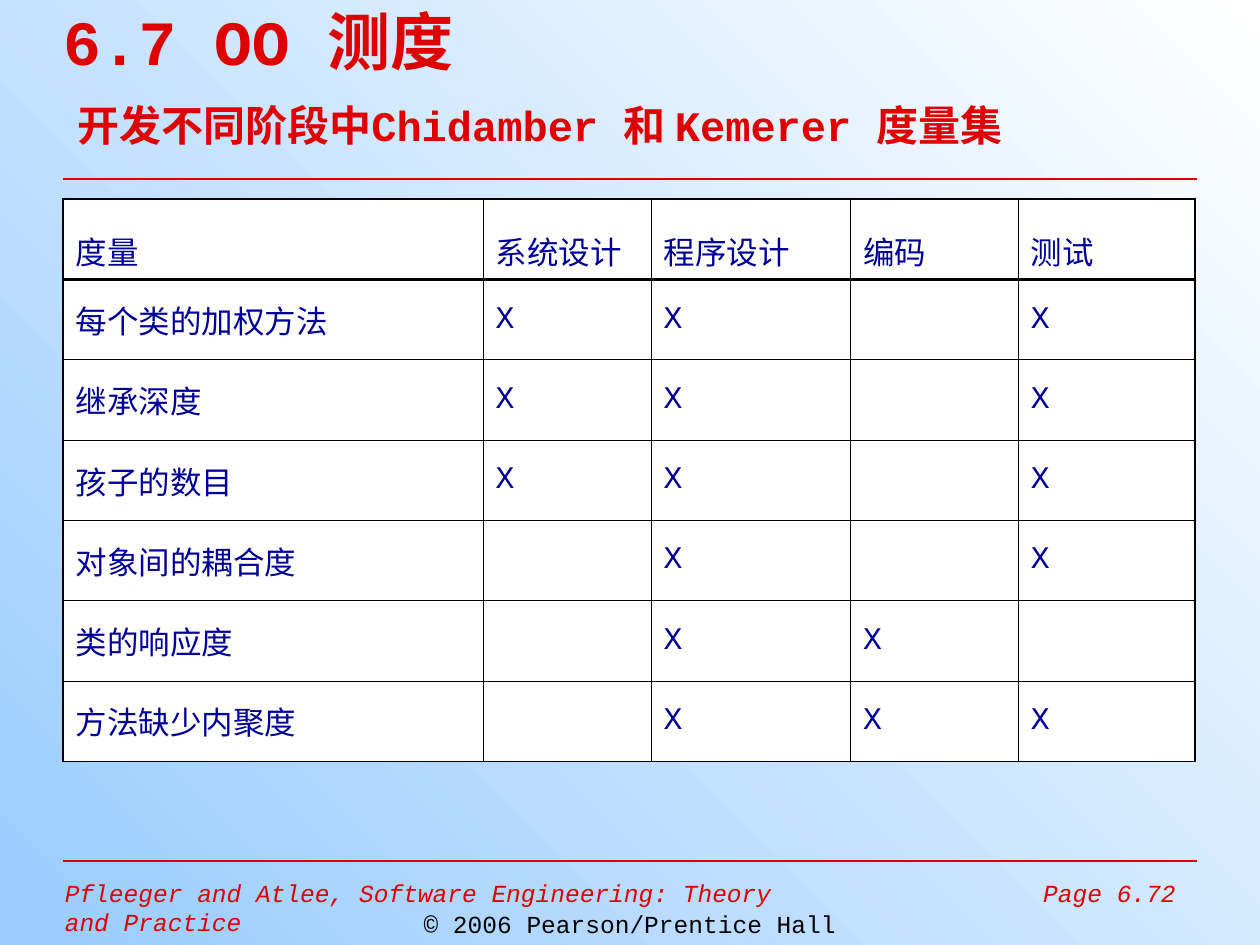
from dataclasses import dataclass

from lxml.etree import SubElement
from pptx import Presentation
from pptx.dml.color import RGBColor as RGB
from pptx.enum.shapes import MSO_CONNECTOR as LINK
from pptx.enum.text import MSO_ANCHOR as ANCHOR, MSO_AUTO_SIZE as FIT, PP_ALIGN as ALIGN
from pptx.oxml.ns import qn
from pptx.util import Pt


@dataclass(frozen=True)
class Theme:
    red: RGB = RGB(0xDE, 0x00, 0x00)
    navy: RGB = RGB(0x00, 0x00, 0x99)
    black: RGB = RGB(0x00, 0x00, 0x00)
    white: RGB = RGB(0xFF, 0xFF, 0xFF)
    sky: RGB = RGB(0x99, 0xCC, 0xFF)
    face: str = "Courier New"
    head: int = 36
    sub: int = 24
    cell: int = 18
    foot: int = 14


THEME = Theme()
LEFT, RIGHT = 36, 683.5
THIN, EDGE, HEAVY = 0.45, 1.08, 1.47
COLS = (240, 96, 114, 96, 101)
ROW = 45.9
HEADS = ("度量", "系统设计", "程序设计", "编码", "测试")
MARKS = {
    "每个类的加权方法": "XX-X",
    "继承深度": "XX-X",
    "孩子的数目": "XX-X",
    "对象间的耦合度": "-X-X",
    "类的响应度": "-XX-",
    "方法缺少内聚度": "-XXX",
}


def style(font, size, color, **more):
    form = {"name": THEME.face, "size": Pt(size), **more}
    for key, value in form.items():
        setattr(font, key, value)
    font.color.rgb = color


def add_run(para, text, size, color, **more):
    run = para.add_run()
    run.text = text
    style(run.font, size, color, **more)


def paint_back(slide):
    fill = slide.background.fill
    fill.gradient()
    fill.gradient_angle = 45
    for stop, color in zip(fill.gradient_stops, (THEME.sky, THEME.white)):
        stop.color.rgb = color


def set_title(slide):
    title = slide.shapes.title
    place = {"left": LEFT, "top": 0, "width": RIGHT - LEFT, "height": 89.3}
    for key, value in place.items():
        setattr(title, key, Pt(value))
    frame = title.text_frame
    form = {"auto_size": FIT.NONE, "word_wrap": True,
            "vertical_anchor": ANCHOR.MIDDLE, "margin_left": 0,
            "margin_top": 0, "margin_right": 0, "margin_bottom": 0}
    for key, value in form.items():
        setattr(frame, key, value)
    para = frame.paragraphs[0]
    para.alignment = ALIGN.LEFT
    add_run(para, "6.7 OO 测度", THEME.head, THEME.red, bold=True)
    para.add_line_break()
    add_run(para, " ", THEME.head, THEME.red, bold=True)
    add_run(para, "开发不同阶段中Chidamber 和 Kemerer 度量集",
            THEME.sub, THEME.red, bold=True)


def add_rule(slide, top, width):
    line = slide.shapes.add_connector(
        LINK.STRAIGHT, Pt(LEFT), Pt(top), Pt(RIGHT + 0.5), Pt(top))
    line.line.color.rgb = THEME.red
    line.line.width = Pt(width)
    SubElement(line._element.spPr, qn("a:effectLst"))


def add_note(slide, text, box, align, color, **more):
    frame = slide.shapes.add_textbox(*map(Pt, box)).text_frame
    frame.word_wrap = True
    para = frame.paragraphs[0]
    para.alignment = align
    add_run(para, text, THEME.foot, color, **more)


def set_sides(cell, widths):
    """Draw the cell's borders from a dict of side letter to width."""
    props = cell._tc.get_or_add_tcPr()
    for side in "LRTB":
        line = SubElement(props, qn(f"a:ln{side}"), w=str(Pt(widths[side])))
        fill = SubElement(line, qn("a:solidFill"))
        SubElement(fill, qn("a:srgbClr"), val=str(THEME.black))


def add_grid(slide):
    rows = [HEADS] + [(name, *marks.replace("-", " "))
                      for name, marks in MARKS.items()]
    last, end = len(rows) - 1, len(COLS) - 1
    table = slide.shapes.add_table(
        len(rows), len(COLS), Pt(LEFT), Pt(113.8),
        Pt(sum(COLS)), Pt(ROW * len(rows))).table
    table.first_row = table.horz_banding = False
    for col, width in zip(table.columns, COLS):
        col.width = Pt(width)
    for r, row in enumerate(rows):
        table.rows[r].height = Pt(ROW)
        for c, text in enumerate(row):
            cell = table.cell(r, c)
            set_sides(cell, {
                "L": EDGE if c == 0 else THIN,
                "R": EDGE if c == end else THIN,
                "T": HEAVY if r < 2 else THIN,
                "B": HEAVY if r == 0 else EDGE if r == last else THIN,
            })
            cell.fill.solid()
            cell.fill.fore_color.rgb = THEME.white
            cell.vertical_anchor = ANCHOR.MIDDLE if r else ANCHOR.BOTTOM
            if text.strip():
                add_run(cell.text_frame.paragraphs[0], text,
                        THEME.cell, THEME.navy)


def main():
    deck = Presentation()
    deck.slide_width, deck.slide_height = Pt(720), Pt(540)
    slide = deck.slides.add_slide(deck.slide_layouts[5])
    paint_back(slide)
    set_title(slide)
    add_rule(slide, 102.2, 1.5)
    add_grid(slide)
    add_rule(slide, 492, 0.75)
    add_note(slide, "Pfleeger and Atlee, Software Engineering: Theory and Practice",
             (30, 498, 432, 24.5), ALIGN.LEFT, THEME.red, italic=True)
    add_note(slide, "Page 6.72", (564, 498, 115, 26.5),
             ALIGN.RIGHT, THEME.red, italic=True)
    add_note(slide, "© 2006 Pearson/Prentice Hall", (0, 516, 720, 24.5),
             ALIGN.CENTER, THEME.black)
    deck.save("out.pptx")


if __name__ == "__main__":
    main()
